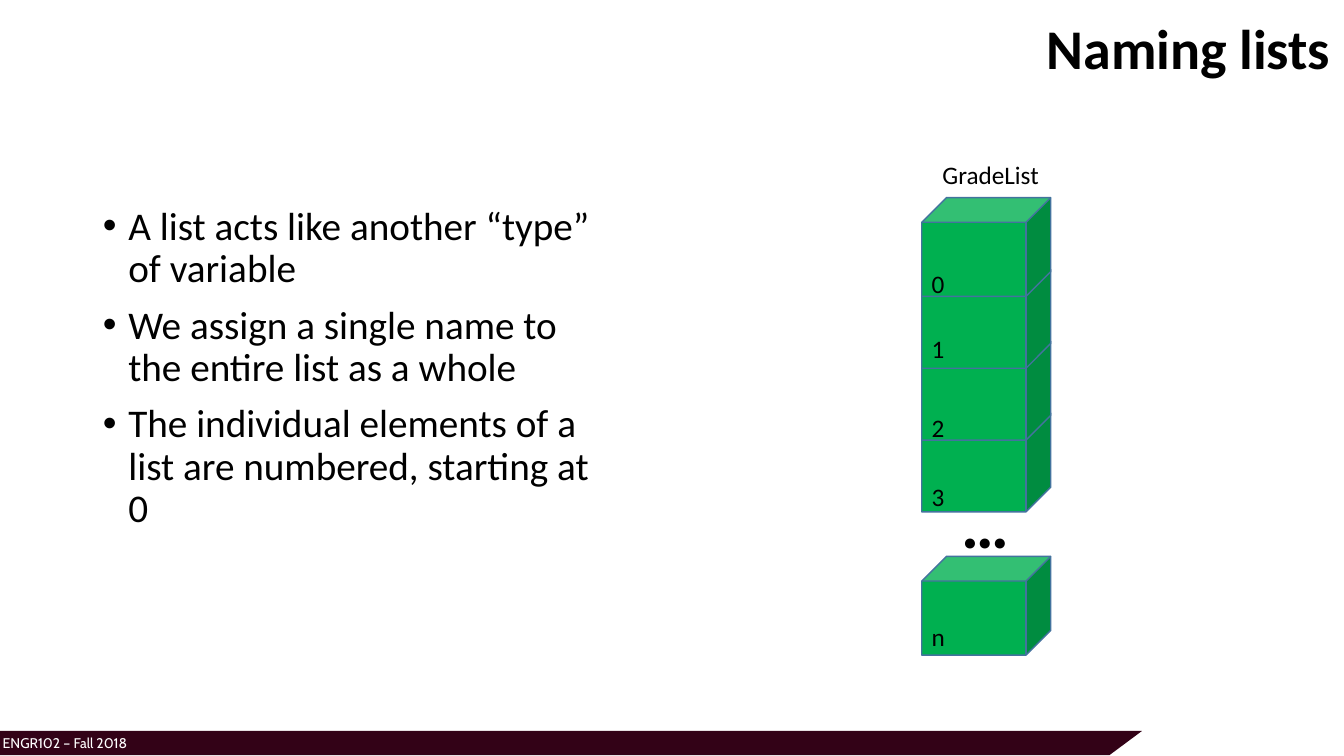
from lxml import etree
from pptx import Presentation
from pptx.dml.color import RGBColor
from pptx.enum import shapes, text
from pptx.oxml import ns
from pptx.util import Cm, Pt

BLACK, WHITE, MAROON, GREEN, EDGE = "000000", "FFFFFF", "330217", "00B050", "43739E"


def colour(value):
    """Turn a hex string into a colour."""
    return RGBColor.from_string(value)


def place(part, box):
    """Move a part to a box given in centimetres."""
    part.left, part.top, part.width, part.height = map(Cm, box)


def style(paragraph, size, face="Calibri", ink=BLACK, bold=False):
    """Format every run of a paragraph."""
    for run in paragraph.runs:
        run.font.size, run.font.name, run.font.bold = Pt(size), face, bold
        run.font.color.rgb = colour(ink)


def add_label(slide, words, box, size=18, **look):
    """Add one unwrapped line of text that grows its box."""
    label = slide.shapes.add_textbox(*map(Cm, box))
    frame = label.text_frame
    frame.text = words
    frame.word_wrap = False
    frame.auto_size = text.MSO_AUTO_SIZE.SHAPE_TO_FIT_TEXT
    style(frame.paragraphs[0], size, **look)


def add_footer(slide, box):
    """Draw the slanted course band with its caption."""
    left, top, width, height = box
    right, bottom = left + width, top + height
    outline = slide.shapes.build_freeform(Cm(left + 0.03), Cm(top))
    corners = [(right, top), (right - 0.82, bottom), (left, bottom)]
    outline.add_line_segments([(Cm(x), Cm(y)) for x, y in corners])
    band = outline.convert_to_shape()
    band.shadow.inherit = False
    band.fill.solid()
    band.fill.fore_color.rgb = colour(MAROON)
    band.line.fill.background()
    caption = slide.shapes.add_textbox(*map(Cm, (left - 0.13, top - 0.03, 19.05, 0.76)))
    caption.text_frame.word_wrap = True
    caption.text_frame.text = "ENGR102 – Fall 2018"
    style(caption.text_frame.paragraphs[0], 10, "Cabin", WHITE)


def fill_title(title, words, box):
    """Place and format the slide title."""
    place(title, box)
    frame = title.text_frame
    frame.text = words
    frame.auto_size = text.MSO_AUTO_SIZE.NONE
    frame.vertical_anchor = text.MSO_ANCHOR.MIDDLE
    heading = frame.paragraphs[0]
    heading.alignment = text.PP_ALIGN.RIGHT
    heading.line_spacing = 0.9
    style(heading, 40, bold=True)


def fill_points(body, points, box):
    """Place the body and write its bulleted points."""
    place(body, box)
    frame = body.text_frame
    frame.text = "\n".join(points)
    frame.auto_size = text.MSO_AUTO_SIZE.NONE
    for index, point in enumerate(frame.paragraphs):
        properties = point._p.get_or_add_pPr()
        properties.set("marL", str(Cm(0.64)))
        properties.set("indent", str(-Cm(0.64)))
        etree.SubElement(properties, ns.qn("a:buFont")).set("typeface", "Arial")
        etree.SubElement(properties, ns.qn("a:buChar")).set("char", "•")
        point.line_spacing = 0.9
        point.space_before = Pt(10 if index else 0)
        style(point, 28)


def add_cube(slide, box):
    """Draw one cell of the list as a cube."""
    cube = slide.shapes.add_shape(shapes.MSO_SHAPE.CUBE, *map(Cm, box))
    cube.shadow.inherit = False
    cube.fill.solid()
    cube.fill.fore_color.rgb = colour(GREEN)
    cube.line.color.rgb = colour(EDGE)
    cube.line.width = Pt(1)


def add_grade_list(slide, box):
    """Draw the named stack of numbered cells, bottom cell first."""
    left, top, width, height = box
    pitch, cell = 1.81, 2.49
    add_label(slide, "GradeList", (left + 0.27, top, 2.97, 1.02))
    add_cube(slide, (left, top + height - cell, width, cell))
    for row in reversed(range(4)):
        add_cube(slide, (left, top + 1.09 + row * pitch, width, cell))
    add_label(slide, "…", (left + 0.75, top + 8.12, 1.73, 2.31), 48, bold=True)
    index_drops = {"0": 2.74, "1": 4.39, "2": 6.37, "3": 8.12, "n": 11.63}
    for index, drop in index_drops.items():
        add_label(slide, index, (left, top + drop, 0.84, 1.02))


def build_naming_slide(deck):
    """Build the slide on naming lists."""
    slide = deck.slides.add_slide(deck.slide_layouts[1])
    add_footer(slide, (-0.05, 18.42, 28.83, 0.61))
    fill_title(slide.shapes.title, "Naming lists", (15.16, 0, 18.62, 2.57))
    points = [
        "A list acts like another “type” of variable",
        "We assign a single name to the entire list as a whole",
        "The individual elements of a list are numbered, starting at 0",
    ]
    fill_points(slide.placeholders[1], points, (2.34, 5.08, 13, 12.09))
    add_grade_list(slide, (23.23, 3.89, 3.25, 12.62))


def main():
    """Create and save the deck."""
    deck = Presentation()
    deck.slide_width, deck.slide_height = Cm(33.87), Cm(19.05)
    build_naming_slide(deck)
    deck.save("out.pptx")


if __name__ == "__main__":
    main()
